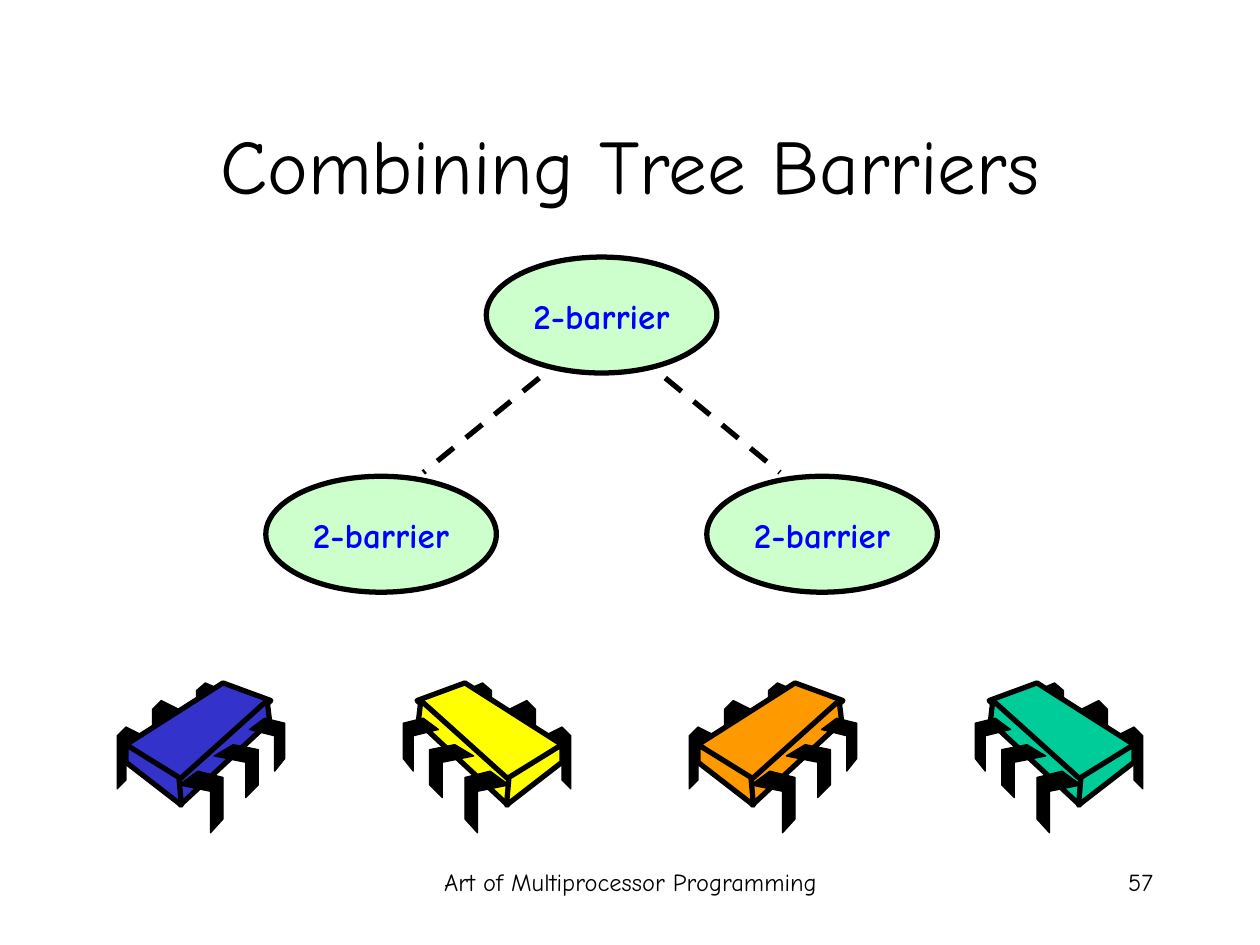
from lxml.etree import SubElement
from pptx import Presentation
from pptx.dml.color import RGBColor
from pptx.enum.dml import MSO_LINE
from pptx.enum.shapes import MSO_CONNECTOR, MSO_SHAPE
from pptx.enum.text import MSO_ANCHOR as Anchor, PP_ALIGN as Align
from pptx.oxml.ns import qn
from pptx.util import Inches, Pt

FONT = "Comic Neue"
COLORS = {
    "black": "000000", "label": "0000FF", "barrier": "CCFFCC",
    "blue": "3333CC", "yellow": "FFFF00", "orange": "FF9900", "green": "00CC99",
}

TEXTS = [
    ("Combining Tree Barriers", (0.75, 0.67, 8.5, 1.25), 44, Align.CENTER, Anchor.MIDDLE),
    ("Art of Multiprocessor Programming", (3.42, 6.83, 3.17, 0.5), 14, Align.CENTER, Anchor.TOP),
    ("57", (7.17, 6.83, 2.08, 0.5), 14, Align.RIGHT, Anchor.TOP),
]

BARRIER_LABEL = "2-barrier"
BARRIER_SIZE = (1.83, 0.92)
BARRIERS = [(3.86, 2.04), (2.11, 3.78), (5.61, 3.78)]
BRANCHES = [((5.28, 3), (6.19, 3.75)), ((4.28, 3), (3.36, 3.75))]

CHIP_LEFT, CHIP_TOP, CHIP_STEP, CHIP_WIDTH = 0.93, 5.42, 2.27, 1.33
CHIPS = [("blue", False), ("yellow", True), ("orange", False), ("green", True)]
BACK_PINS = [
    [(0.21, 0.42), (0.07, 0.35), (0, 0.42), (0, 0.84), (0.07, 0.77), (0.07, 0.49), (0.21, 0.56)],
    [(0.49, 0.21), (0.35, 0.14), (0.28, 0.21), (0.28, 0.63), (0.35, 0.56), (0.35, 0.28), (0.49, 0.35)],
    [(0.84, 0.06), (0.7, 0), (0.63, 0.06), (0.63, 0.42), (0.7, 0.36), (0.7, 0.12), (0.84, 0.18)],
]
BODY_FACES = [
    [(0.84, 0), (0.07, 0.49), (0.5, 0.78), (1.22, 0.14)],
    [(1.19, 0.14), (0.49, 0.77), (0.5, 0.97), (1.21, 0.31)],
    [(0.07, 0.49), (0.07, 0.63), (0.51, 0.97), (0.49, 0.75)],
]
FRONT_PINS = [
    [(0.64, 0.7), (0.49, 0.81), (0.74, 0.86), (0.74, 1.19), (0.84, 1.08), (0.84, 0.75)],
    [(0.92, 0.49), (0.77, 0.58), (1.02, 0.63), (1.02, 0.91), (1.12, 0.81), (1.12, 0.53)],
    [(1.17, 0.28), (1.05, 0.37), (1.25, 0.42), (1.25, 0.7), (1.33, 0.6), (1.33, 0.32)],
]


def rgb(name):
    return RGBColor.from_string(COLORS[name])


def paint(shape, fill, line_width):
    shape.shadow.inherit = False
    shape.fill.solid()
    shape.fill.fore_color.rgb = rgb(fill)
    shape.line.color.rgb = rgb("black")
    shape.line.width = Pt(line_width)


def write(shape, text, size, color, align, anchor, bold=False, wrap=True):
    frame = shape.text_frame
    frame.word_wrap = wrap
    frame.vertical_anchor = anchor
    paragraph = frame.paragraphs[0]
    paragraph.alignment = align
    run = paragraph.add_run()
    run.text = text
    for name, value in {"name": FONT, "size": Pt(size), "bold": bold}.items():
        setattr(run.font, name, value)
    run.font.color.rgb = rgb(color)


def add_branch(slide, start, end):
    branch = slide.shapes.add_connector(
        MSO_CONNECTOR.STRAIGHT, *[Inches(value) for value in start + end])
    branch.line.color.rgb = rgb("black")
    branch.line.width = Pt(3)
    branch.line.dash_style = MSO_LINE.DASH
    SubElement(branch._element.spPr, qn("a:effectLst"))


def add_barrier(slide, position):
    box = [Inches(value) for value in position + BARRIER_SIZE]
    barrier = slide.shapes.add_shape(MSO_SHAPE.OVAL, *box)
    paint(barrier, "barrier", 3)
    write(barrier, BARRIER_LABEL, 20, "label", Align.CENTER, Anchor.MIDDLE, bold=True, wrap=False)


def add_chip(slide, left, color, mirrored):
    group = slide.shapes.add_group_shape()
    layers = [(BACK_PINS, "black", 0.75), (BODY_FACES, color, 3), (FRONT_PINS, "black", 0.75)]
    for outlines, fill, line_width in layers:
        for outline in outlines:
            points = [
                (Inches(left + (CHIP_WIDTH - x if mirrored else x)), Inches(CHIP_TOP + y))
                for x, y in outline
            ]
            builder = group.shapes.build_freeform(*points[0])
            builder.add_line_segments(points[1:], close=True)
            paint(builder.convert_to_shape(), fill, line_width)


def main():
    presentation = Presentation()
    presentation.slide_width, presentation.slide_height = Inches(10), Inches(7.5)
    slide = presentation.slides.add_slide(presentation.slide_layouts[6])

    for text, box, size, align, anchor in TEXTS:
        textbox = slide.shapes.add_textbox(*[Inches(value) for value in box])
        write(textbox, text, size, "black", align, anchor)
    for start, end in BRANCHES:
        add_branch(slide, start, end)
    for position in BARRIERS:
        add_barrier(slide, position)
    for index, (color, mirrored) in enumerate(CHIPS):
        add_chip(slide, CHIP_LEFT + index * CHIP_STEP, color, mirrored)

    presentation.save("out.pptx")


if __name__ == "__main__":
    main()
